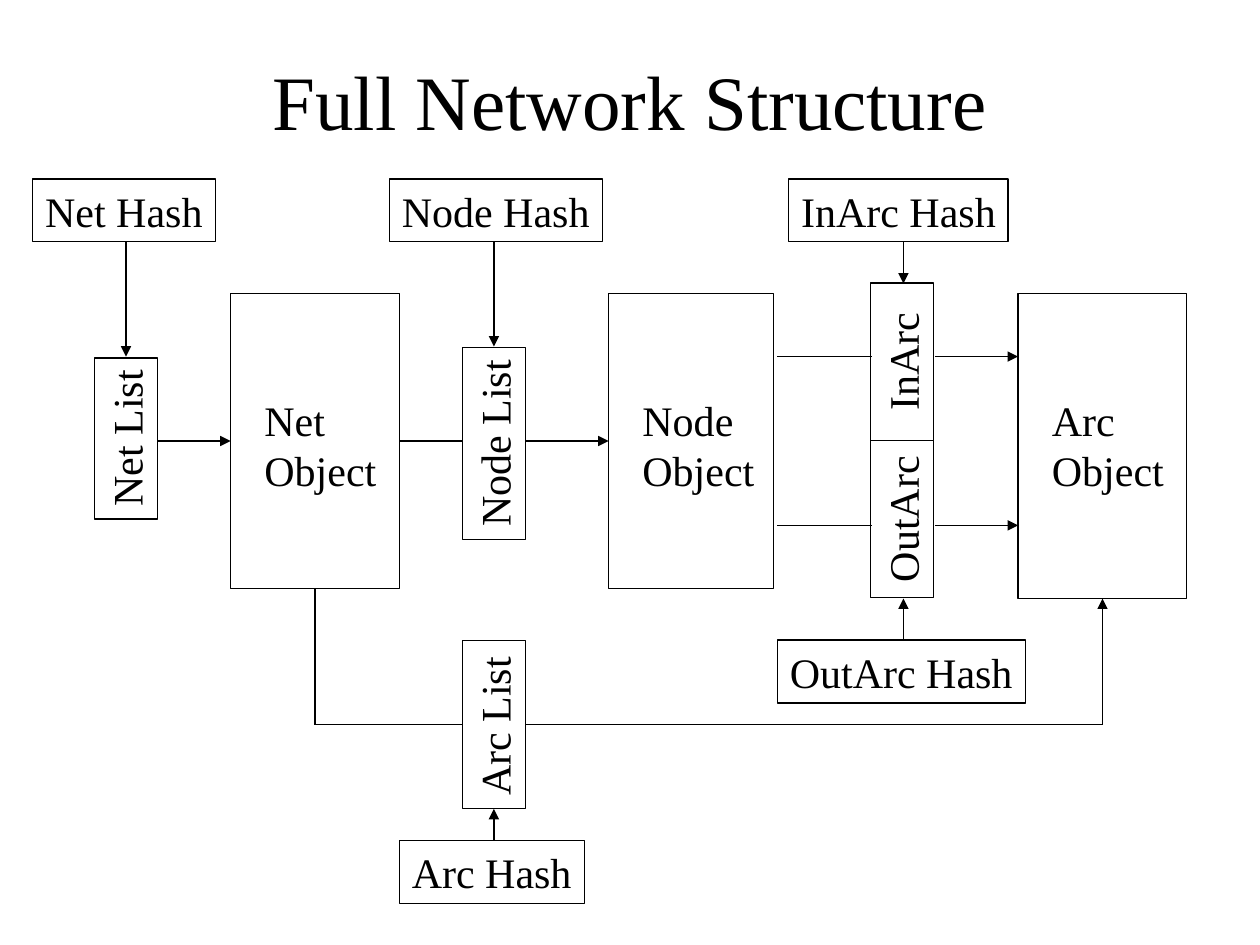
"""Builds the Full Network Structure slide."""
from pptx import Presentation
from pptx.dml.color import RGBColor
from pptx.enum.shapes import MSO_CONNECTOR, MSO_SHAPE
from pptx.enum.text import MSO_ANCHOR, MSO_AUTO_SIZE, PP_ALIGN
from pptx.oxml.ns import qn
from pptx.util import Inches, Pt
from lxml.etree import SubElement

BLACK = RGBColor(0, 0, 0)
FONT = "Times New Roman"
TOP, LEFT, BOTTOM, RIGHT = range(4)
BAR = 0.5

OBJECTS = [
    ("Net", 1.83, 1.34, 2.34),
    ("Node", 4.83, 1.31, 2.34),
    ("Arc", 8.08, 1.34, 2.42),
]
HASHES = [
    ("Net Hash", 0.26, 1.42, 1.45),
    ("Node Hash", 3.09, 1.42, 1.69),
    ("InArc Hash", 6.26, 1.42, 1.74),
    ("OutArc Hash", 6.17, 5.08, 1.97),
    ("Arc Hash", 3.17, 6.67, 1.47),
]
LISTS = [
    ("Net List", 1, 3.48, 1.28, PP_ALIGN.LEFT),
    ("Node List", 3.92, 3.52, 1.52, PP_ALIGN.LEFT),
    ("Arc List", 3.92, 5.75, 1.33, PP_ALIGN.LEFT),
    ("InArc", 7.16, 2.87, 1.25, PP_ALIGN.CENTER),
    ("OutArc", 7.16, 4.12, 1.25, PP_ALIGN.CENTER),
]
HASH_ARROWS = [
    (1, 1.92, 2.83),
    (3.92, 1.92, 2.75),
    (7.17, 1.92, 2.25),
    (7.17, 5.08, 4.75),
    (3.92, 6.67, 6.42),
]


def style_text(tf, size, align=PP_ALIGN.LEFT):
    """Set the font and alignment of every paragraph."""
    for p in tf.paragraphs:
        p.alignment = align
        p.font.name = FONT
        p.font.size = Pt(size)
        p.font.color.rgb = BLACK


def add_title(s, text):
    """Place and format the title placeholder."""
    sp = s.shapes.title
    sp.left, sp.top = Inches(0.75), Inches(0.42)
    sp.width, sp.height = Inches(8.5), Inches(0.75)
    tf = sp.text_frame
    tf.text = text
    tf.vertical_anchor = MSO_ANCHOR.MIDDLE
    tf.auto_size = MSO_AUTO_SIZE.NONE
    style_text(tf, 44, PP_ALIGN.CENTER)


def add_box(s, x, y, w, h):
    """Add an unfilled rectangle with a thin black outline."""
    sp = s.shapes.add_shape(
        MSO_SHAPE.RECTANGLE, Inches(x), Inches(y), Inches(w), Inches(h))
    sp.shadow.inherit = False
    sp.fill.background()
    sp.line.color.rgb = BLACK
    sp.line.width = Pt(0.75)
    return sp


def add_label(s, text, x, y, w, align=PP_ALIGN.LEFT):
    """Add a one-line outlined label, with slack on the right if left-aligned."""
    sp = add_box(s, x, y, w, BAR)
    tf = sp.text_frame
    tf.text = text
    tf.word_wrap = True
    tf.auto_size = MSO_AUTO_SIZE.NONE
    tf.vertical_anchor = MSO_ANCHOR.TOP
    if align == PP_ALIGN.LEFT:
        tf.margin_right = 0
    style_text(tf, 24, align)
    return sp


def add_list(s, text, cx, cy, length, align):
    """Add a label reading upwards, centred on a point."""
    sp = add_label(s, text, cx - length / 2, cy - BAR / 2, length, align)
    sp.rotation = 270


def add_object(s, name, x, w, h):
    """Add a large object box with its two-line caption."""
    box = add_box(s, x, 2.33, w, h)
    sp = s.shapes.add_textbox(
        Inches(x + 0.17), Inches(3.08), Inches(1.09), Inches(0.9))
    tf = sp.text_frame
    tf.text = f"{name}\nObject"
    tf.word_wrap = False
    tf.auto_size = MSO_AUTO_SIZE.SHAPE_TO_FIT_TEXT
    style_text(tf, 24)
    return box


def add_line(s, x1, y1, x2, y2, arrow=False, begin=None, end=None):
    """Add a straight line, joined to a (shape, side) pair where given."""
    c = s.shapes.add_connector(
        MSO_CONNECTOR.STRAIGHT, Inches(x1), Inches(y1), Inches(x2), Inches(y2))
    c.line.color.rgb = BLACK
    c.line.width = Pt(0.75)
    if arrow:
        ln = c._element.spPr.find(qn("a:ln"))
        SubElement(ln, qn("a:tailEnd"), type="triangle")
    SubElement(c._element.spPr, qn("a:effectLst"))
    if begin:
        c.begin_connect(*begin)
    if end:
        c.end_connect(*end)


def add_links(s, net, node, arc):
    """Connect the objects through their lists."""
    add_line(s, 1.25, 3.5, 1.83, 3.5, True, end=(net, LEFT))
    add_line(s, 3.17, 3.5, 3.67, 3.5, begin=(net, RIGHT))
    add_line(s, 4.17, 3.5, 4.83, 3.5, True, end=(node, LEFT))
    for y in (2.83, 4.17):
        add_line(s, 6.17, y, 6.92, y)
        add_line(s, 7.42, y, 8.08, y, True)
    add_line(s, 2.5, 4.67, 2.5, 5.75, begin=(net, BOTTOM))
    add_line(s, 2.5, 5.75, 3.67, 5.75)
    add_line(s, 4.17, 5.75, 8.75, 5.75)
    add_line(s, 8.75, 5.75, 8.75, 4.75, True, end=(arc, BOTTOM))


def main():
    """Build and save the slide."""
    prs = Presentation()
    prs.slide_width, prs.slide_height = Inches(10), Inches(7.5)
    s = prs.slides.add_slide(prs.slide_layouts[5])
    add_title(s, "Full Network Structure")
    objects = [add_object(s, *spec) for spec in OBJECTS]
    for spec in HASHES:
        add_label(s, *spec)
    for spec in LISTS:
        add_list(s, *spec)
    add_links(s, *objects)
    for x, y1, y2 in HASH_ARROWS:
        add_line(s, x, y1, x, y2, True)
    prs.save("out.pptx")


if __name__ == "__main__":
    main()
